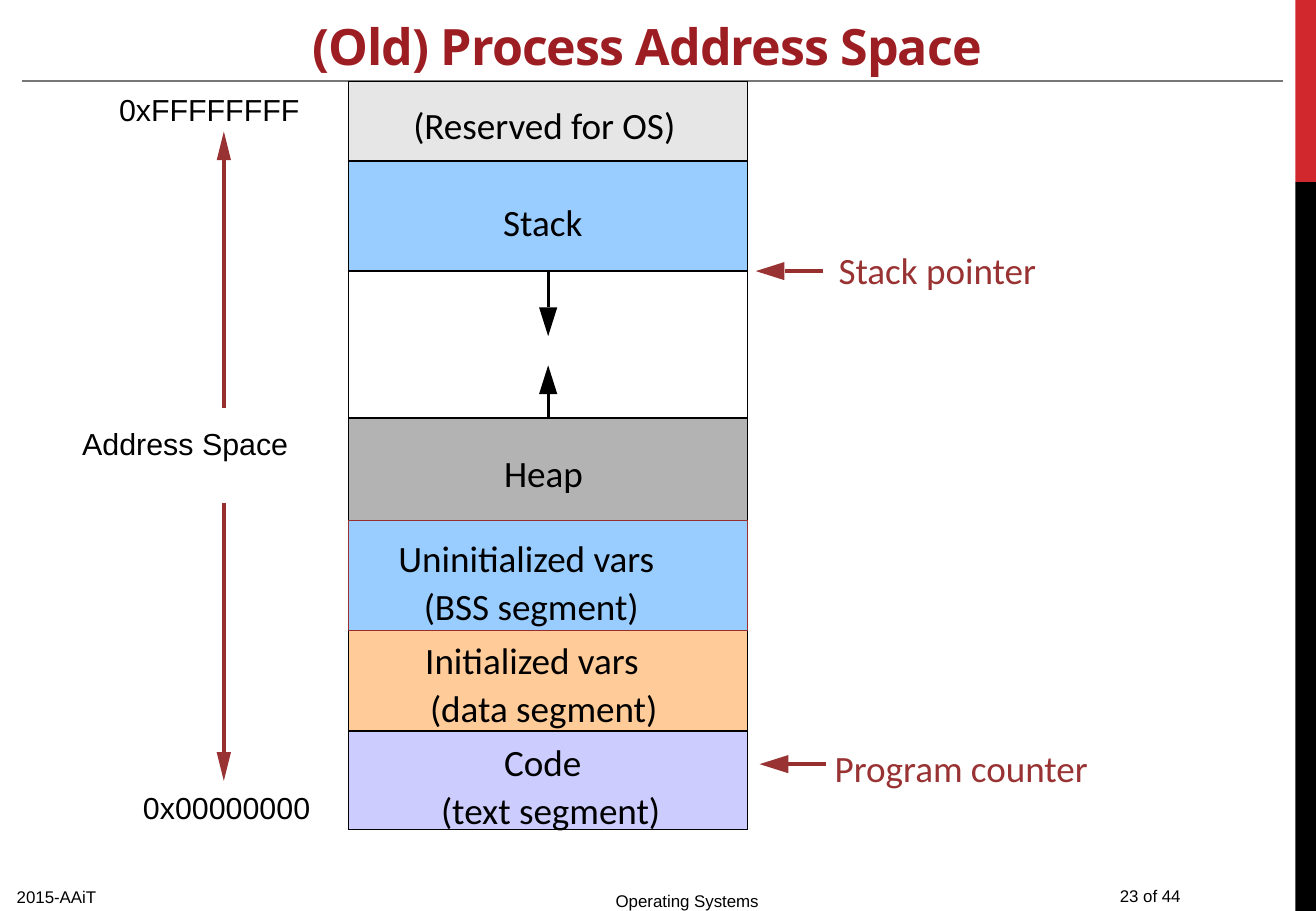
from math import hypot

from pptx import Presentation
from pptx.dml.color import RGBColor
from pptx.enum.shapes import MSO_CONNECTOR as Link, MSO_SHAPE as Shape
from pptx.enum.text import MSO_ANCHOR as Anchor, MSO_AUTO_SIZE as Fit, PP_ALIGN as Align
from pptx.oxml.ns import qn
from pptx.util import Cm, Pt

BLACK, RED, EDGE = "000000", "993333", "982F2F"
LEFT, WIDTH = 7.29, 8.34  # the memory column
TOP, END = 1.71, 17.35

# name, top, bottom, fill, outline
BLOCKS = [
    ("stack", 3.37, 5.67, "99CCFF", BLACK),
    ("code", 15.29, END, "CCCCFF", BLACK),
    ("data", 13.18, 15.29, "FFCC99", BLACK),
    ("heap", 8.74, 10.88, "B3B3B3", BLACK),
    ("bss", 10.88, 13.18, "99CCFF", EDGE),
    ("kernel", TOP, 3.37, "E6E6E6", BLACK),
]

# text, left, top, width, colour
LABELS = [
    ("(Reserved for OS)", 8.64, 2.08, 7.7, BLACK),
    ("Stack", 10.52, 4.11, 2.57, BLACK),
    ("Heap", 10.54, 9.35, 2.49, BLACK),
    ("Uninitialized vars", 8.33, 11.13, 7.82, BLACK),
    ("(BSS segment)", 8.86, 12.14, 6.38, BLACK),
    ("Initialized vars", 8.89, 13.26, 6.58, BLACK),
    ("(data segment)", 8.99, 14.27, 6.3, BLACK),
    ("Code", 10.54, 15.39, 2.49, BLACK),
    ("(text segment)", 9.22, 16.41, 5.97, BLACK),
    ("Stack pointer", 17.53, 5.11, 6.02, RED),
    ("Program counter", 17.45, 15.52, 7.72, RED),
]

# text, left, top, width
SPANS = [
    ("0xFFFFFFFF", 2.24, 1.83, 4.32),
    ("Address Space", 1.47, 8.81, 4.85),
    ("0x00000000", 2.74, 16.43, 4.04),
]

# text, left, width, anchor, bottom inset
NOTES = [
    ("2015-AAiT", 0.1, 10.31, Anchor.TOP, 0.13),
    ("Operating Systems", 12.62, 10.31, Anchor.BOTTOM, 0),
    ("23 of 44", 23.16, 3.96, Anchor.MIDDLE, 0.13),
]


def color(code):
    return RGBColor.from_string(code)


def style(shape, fill=None, line=None):
    shape.shadow.inherit = False
    if fill:
        shape.fill.solid()
        shape.fill.fore_color.rgb = color(fill)
    else:
        shape.fill.background()
    if line:
        shape.line.color.rgb = color(line)
        shape.line.width = Pt(0)
    else:
        shape.line.fill.background()


def box(slide, left, top, width, height, fill=None, line=None):
    shape = slide.shapes.add_shape(
        Shape.RECTANGLE, Cm(left), Cm(top), Cm(width), Cm(height))
    style(shape, fill, line)
    return shape


def rule(slide, start, end, code, weight=0):
    line = slide.shapes.add_connector(
        Link.STRAIGHT, Cm(start[0]), Cm(start[1]), Cm(end[0]), Cm(end[1]))
    line.line.color.rgb = color(code)
    line.line.width = Pt(weight)
    props = line._element.spPr
    props.append(props.makeelement(qn("a:effectLst"), {}))
    return line


def arrow(slide, start, tip, code, edge, size=0.6, half=0.19):
    """Draw a thin shaft and a solid head; return the shaft."""
    dx, dy = tip[0] - start[0], tip[1] - start[1]
    span = hypot(dx, dy)
    ux, uy = dx / span, dy / span
    base = tip[0] - ux * size, tip[1] - uy * size
    shaft = rule(slide, start, base, edge)
    wings = [(Cm(base[0] - uy * side), Cm(base[1] + ux * side))
             for side in (half, -half)]
    path = slide.shapes.build_freeform(Cm(tip[0]), Cm(tip[1]))
    path.add_line_segments(wings, close=True)
    style(path.convert_to_shape(), code)
    return shaft


def format_text(frame, size, face, code):
    para = frame.paragraphs[0]
    font = para.runs[0].font
    font.size, font.name = Pt(size), face
    font.color.rgb = color(code)
    return para


def label(slide, text, left, top, width, height, size, face, code=BLACK,
          space=1.0, inset=True):
    area = slide.shapes.add_textbox(Cm(left), Cm(top), Cm(width), Cm(height))
    frame = area.text_frame
    frame.text = text
    frame.word_wrap = True
    if not inset:
        frame.margin_left = frame.margin_right = 0
        frame.margin_top = frame.margin_bottom = 0
    format_text(frame, size, face, code).line_spacing = space
    return frame


def title(slide, text):
    head = slide.shapes.title
    head.left, head.top, head.width, head.height = Cm(0.23), Cm(0.43), Cm(26.59), Cm(1.27)
    frame = head.text_frame
    frame.text = text
    frame.auto_size = Fit.NONE
    frame.vertical_anchor = Anchor.BOTTOM
    para = format_text(frame, 29.7, "Noto Sans", "9D1E22")
    para.alignment = Align.CENTER
    run = para.runs[0]
    run.font.bold = True
    run.font._element.set("spc", "-60")


def main():
    deck = Presentation()
    deck.slide_width, deck.slide_height = Cm(27.51), Cm(19.05)
    slide = deck.slides.add_slide(deck.slide_layouts[5])

    # Side bars, title and its rule
    box(slide, 27.08, 0, 0.43, 3.81, "D1282E")
    box(slide, 27.08, 3.81, 0.43, 15.24, BLACK)
    rule(slide, (0.46, 1.7), (26.82, 1.7), "777777", 1)
    title(slide, "(Old) Process Address Space")

    # Memory column
    box(slide, LEFT, TOP, WIDTH, END - TOP, line=BLACK)
    parts = {}
    for name, top, low, fill, line in BLOCKS:
        parts[name] = box(slide, LEFT, top, WIDTH, low - top, fill, line)

    # Growth of stack and heap
    mid = LEFT + WIDTH / 2
    down = arrow(slide, (mid, 5.67), (mid, 7.03), BLACK, BLACK)
    down.begin_connect(parts["stack"], 2)
    up = arrow(slide, (mid, 8.74), (mid, 7.64), BLACK, BLACK)
    up.begin_connect(parts["heap"], 0)

    # Pointers and the address range
    arrow(slide, (17.2, 5.67), (15.8, 5.67), RED, EDGE)
    arrow(slide, (17.27, 15.98), (15.88, 15.98), RED, EDGE)
    arrow(slide, (4.68, 8.53), (4.68, 2.75), RED, EDGE, half=0.15)
    arrow(slide, (4.68, 10.52), (4.68, 16.33), RED, EDGE, half=0.15)

    # Texts
    for text, left, top, width, code in LABELS:
        label(slide, text, left, top, width, 1.37, 22, "Calibri", code, 1.07, False)
    for text, left, top, width in SPANS:
        label(slide, text, left, top, width, 1, 18, "Arial", space=0.96)
    for text, left, width, anchor, low in NOTES:
        frame = label(slide, text, left, 18.42, width, 0.63, 10, "Arial")
        frame.vertical_anchor = anchor
        frame.margin_bottom = Cm(low)

    deck.save("out.pptx")


if __name__ == "__main__":
    main()
